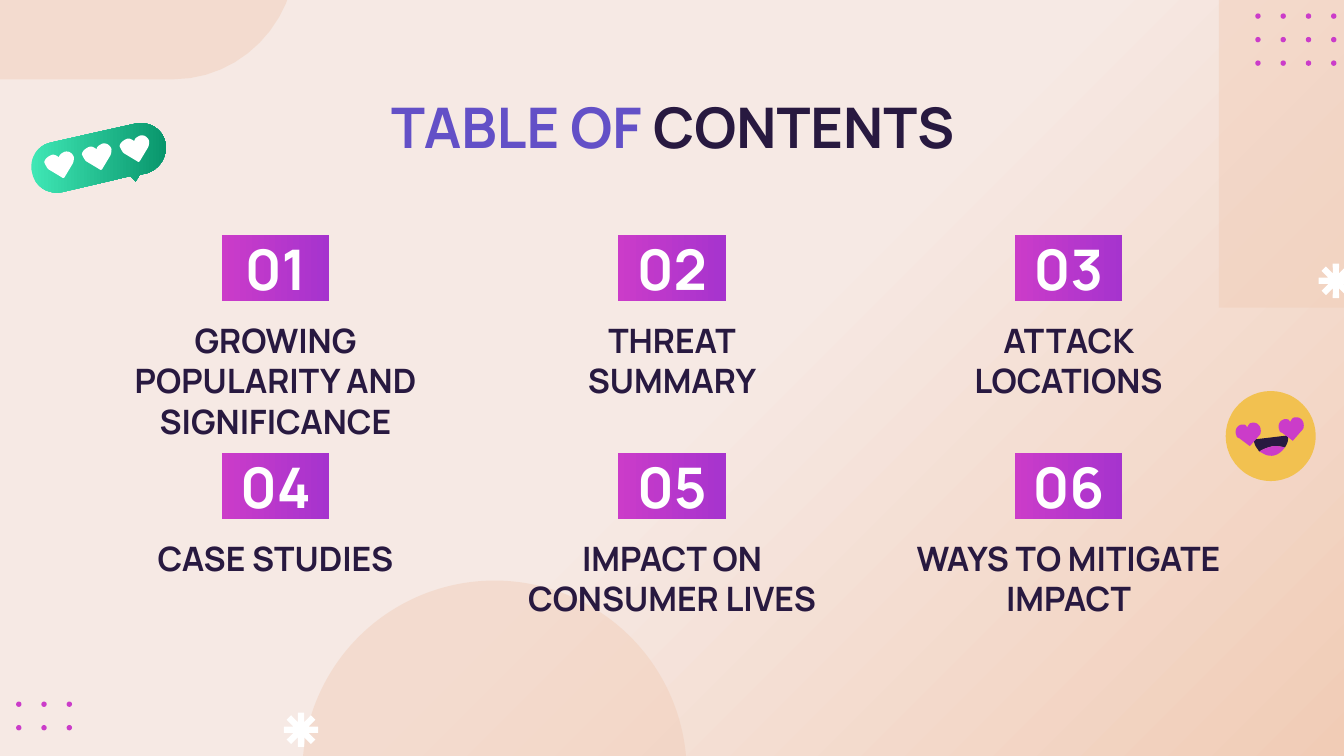
from copy import deepcopy
from math import cos, pi, sin
from typing import NamedTuple

from pptx import Presentation
from pptx.dml.color import RGBColor
from pptx.dml.fill import FillFormat
from pptx.enum.shapes import MSO_SHAPE as Preset
from pptx.enum.text import MSO_ANCHOR as Anchor, PP_ALIGN as Align
from pptx.oxml.ns import qn
from pptx.oxml.xmlchemy import OxmlElement
from pptx.shapes.autoshape import Shape
from pptx.slide import Slide
from pptx.text.text import TextFrame
from pptx.util import Inches, Pt

FONT = "Manrope"
CREAM = RGBColor(0xF6, 0xE9, 0xE4)
PEACH = RGBColor(0xF1, 0xCC, 0xB6)
MAGENTA = RGBColor(0xCB, 0x3C, 0xC9)
PURPLE = RGBColor(0xA6, 0x33, 0xCE)
INDIGO = RGBColor(0x63, 0x50, 0xC7)
INK = RGBColor(0x28, 0x19, 0x40)
WHITE = RGBColor(0xFF, 0xFF, 0xFF)
YELLOW = RGBColor(0xF2, 0xC1, 0x50)
MINT = RGBColor(0x3F, 0xE7, 0xB5)
GREEN = RGBColor(0x09, 0x96, 0x6C)

# An outline step is a line (x, y) or a curve (x1, y1, x2, y2, x, y), in inches.
Outline = list[tuple[float, ...]]


class Topic(NamedTuple):
    number: str
    heading: str


TOPICS = [
    Topic("01", "GROWING POPULARITY AND SIGNIFICANCE"),
    Topic("02", "THREAT\vSUMMARY"),
    Topic("03", "ATTACK LOCATIONS"),
    Topic("04", "CASE STUDIES"),
    Topic("05", "IMPACT ON CONSUMER LIVES"),
    Topic("06", "WAYS TO MITIGATE IMPACT"),
]
COLUMNS = 3
COLUMN_STEP, ROW_STEP = 2.95, 1.62

CORNER: Outline = [
    (-0.09, 0.59), (1.29, 0.59), (1.79, 0.59, 2.2, 0.17, 2.2, -0.33), (-0.09, -0.33),
]
BUBBLE: Outline = [
    (0.38, 1.06), (1.01, 0.92), (1.11, 0.9, 1.21, 0.96, 1.23, 1.06),
    (1.25, 1.16, 1.19, 1.26, 1.09, 1.29), (1.04, 1.3), (1.01, 1.35), (0.97, 1.31),
    (0.46, 1.43), (0.36, 1.45, 0.26, 1.39, 0.24, 1.29),
    (0.21, 1.18, 0.28, 1.08, 0.38, 1.06),
]
BUBBLE_HEART: Outline = [
    (0.48, 1.13), (0.51, 1.12, 0.54, 1.14, 0.55, 1.17),
    (0.55, 1.18, 0.55, 1.2, 0.54, 1.22), (0.48, 1.32), (0.47, 1.33, 0.46, 1.32, 0.46, 1.32),
    (0.36, 1.26), (0.35, 1.25, 0.34, 1.23, 0.33, 1.21),
    (0.33, 1.19, 0.35, 1.17, 0.37, 1.16), (0.4, 1.14, 0.42, 1.16, 0.44, 1.17),
    (0.44, 1.15, 0.46, 1.14, 0.48, 1.13),
]
EYE_HEART: Outline = [
    (9.3, 3.32), (9.37, 3.24), (9.37, 3.24, 9.38, 3.23, 9.38, 3.22),
    (9.39, 3.17, 9.35, 3.13, 9.3, 3.15), (9.29, 3.16, 9.28, 3.18, 9.28, 3.18),
    (9.28, 3.18, 9.27, 3.16, 9.26, 3.16), (9.21, 3.15, 9.18, 3.2, 9.2, 3.24),
    (9.2, 3.25, 9.21, 3.26, 9.22, 3.26),
]
MOUTH: Outline = [
    (9.58, 3.24), (9.33, 3.27), (9.33, 3.31, 9.35, 3.33, 9.37, 3.36),
    (9.4, 3.34, 9.43, 3.33, 9.47, 3.32), (9.5, 3.32, 9.53, 3.32, 9.56, 3.33),
    (9.58, 3.3, 9.59, 3.27, 9.58, 3.24),
]
TONGUE: Outline = [
    (9.56, 3.33), (9.53, 3.32, 9.5, 3.32, 9.47, 3.32),
    (9.43, 3.33, 9.4, 3.34, 9.37, 3.36), (9.39, 3.37, 9.42, 3.39, 9.44, 3.39),
    (9.49, 3.4, 9.53, 3.37, 9.56, 3.33),
]


def flatten(outline: Outline, steps: int = 12) -> list[tuple[float, float]]:
    """Turn the curves of an outline into short lines."""
    points = [outline[0]]
    for step in outline[1:]:
        if len(step) == 2:
            points.append(step)
            continue
        x0, y0 = points[-1]
        x1, y1, x2, y2, x3, y3 = step
        for i in range(1, steps + 1):
            t = i / steps
            a, b, c, d = (1 - t) ** 3, 3 * t * (1 - t) ** 2, 3 * t * t * (1 - t), t**3
            points.append((a * x0 + b * x1 + c * x2 + d * x3,
                           a * y0 + b * y1 + c * y2 + d * y3))
    return points


def finish(shape: Shape, color: RGBColor, alpha: int = 100) -> Shape:
    """Give a plain fill, without line or shadow."""
    shape.shadow.inherit = False
    shape.line.fill.background()
    shape.fill.solid()
    shape.fill.fore_color.rgb = color
    if alpha < 100:
        element = OxmlElement("a:alpha")
        element.set("val", str(alpha * 1000))
        shape._element.spPr.find(".//" + qn("a:srgbClr")).append(element)
    return shape


def add_preset(slide: Slide, kind: Preset, left: float, top: float, width: float,
               height: float, color: RGBColor, alpha: int = 100) -> Shape:
    shape = slide.shapes.add_shape(
        kind, Inches(left), Inches(top), Inches(width), Inches(height))
    return finish(shape, color, alpha)


def add_outline(slide: Slide, outline: Outline, color: RGBColor, dx: float = 0,
                dy: float = 0, alpha: int = 100) -> Shape:
    points = [(Inches(x + dx), Inches(y + dy)) for x, y in flatten(outline)]
    builder = slide.shapes.build_freeform(*points[0])
    builder.add_line_segments(points[1:], close=True)
    return finish(builder.convert_to_shape(), color, alpha)


def set_gradient(fill: FillFormat, start: RGBColor, end: RGBColor) -> None:
    fill.gradient()
    fill.gradient_angle = 0
    for stop, color, position in zip(fill.gradient_stops, (start, end), (0, 1)):
        stop.color.rgb, stop.position = color, position


def paint_background(slide: Slide) -> None:
    """Keep the cream plain up to the middle, then blend it into peach."""
    fill = slide.background.fill
    set_gradient(fill, CREAM, PEACH)
    fill.gradient_angle = 315
    stops = slide._element.find(".//" + qn("a:gsLst"))
    stops.insert(0, deepcopy(stops[0]))
    fill.gradient_stops[1].position = 0.52


def add_dots(slide: Slide, left: float, top: float, columns: int, rows: int) -> None:
    for row in range(rows):
        for column in range(columns):
            add_preset(slide, Preset.OVAL, left + column * 0.188, top + row * 0.175,
                       0.04, 0.04, MAGENTA)


def add_asterisk(slide: Slide, x: float, y: float) -> None:
    outline: Outline = []
    for arm in range(8):
        angle = arm * pi / 4
        for radius, turn in ((0.13, -0.18), (0.13, 0.18), (0.06, pi / 8)):
            outline.append((x + radius * cos(angle + turn), y + radius * sin(angle + turn)))
    add_outline(slide, outline, WHITE)


def write(frame: TextFrame, text: str, size: int, color: RGBColor,
          anchor: Anchor = Anchor.TOP) -> None:
    frame.word_wrap = True
    frame.vertical_anchor = anchor
    frame.margin_left = frame.margin_right = Inches(0.1)
    frame.margin_top = frame.margin_bottom = Inches(0.1)
    frame.text = text
    paragraph = frame.paragraphs[0]
    paragraph.alignment = Align.CENTER
    for run in paragraph.runs:
        style_run(run.font, size, color)


def style_run(font, size: int, color: RGBColor) -> None:
    font.name, font.size, font.bold = FONT, Pt(size), True
    font.color.rgb = color


def add_text(slide: Slide, left: float, top: float, width: float, height: float,
             text: str, size: int, color: RGBColor) -> TextFrame:
    box = slide.shapes.add_textbox(
        Inches(left), Inches(top), Inches(width), Inches(height))
    write(box.text_frame, text, size, color)
    return box.text_frame


def add_topic(slide: Slide, topic: Topic, dx: float, dy: float) -> None:
    badge = add_preset(slide, Preset.RECTANGLE, 1.65 + dx, 1.75 + dy, 0.8, 0.49, MAGENTA)
    set_gradient(badge.fill, MAGENTA, PURPLE)
    write(badge.text_frame, topic.number, 30, WHITE, Anchor.MIDDLE)
    add_text(slide, 0.79 + dx, 2.28 + dy, 2.52, 0.73, topic.heading, 18, INK)


def add_decor(slide: Slide) -> None:
    add_preset(slide, Preset.OVAL, 2.25, 4.32, 2.86, 2.86, PEACH, 45)
    add_preset(slide, Preset.RECTANGLE, 9.07, -0.73, 1.5, 3.02, PEACH, 45)
    add_outline(slide, CORNER, PEACH, alpha=45)
    add_dots(slide, 9.34, 0.1, 4, 3)
    add_dots(slide, 0.12, 5.22, 3, 2)
    add_asterisk(slide, 2.24, 5.43)
    add_asterisk(slide, 9.94, 2.09)


def add_stickers(slide: Slide) -> None:
    add_preset(slide, Preset.OVAL, 9.12, 2.91, 0.67, 0.67, YELLOW)
    add_outline(slide, MOUTH, INK)
    add_outline(slide, TONGUE, MAGENTA)
    for eye in range(2):
        add_outline(slide, EYE_HEART, MAGENTA, eye * 0.32, eye * -0.04)
    bubble = add_outline(slide, BUBBLE, MINT)
    set_gradient(bubble.fill, MINT, GREEN)
    for heart in range(3):
        add_outline(slide, BUBBLE_HEART, WHITE, heart * 0.28, heart * -0.06)


def main() -> None:
    presentation = Presentation()
    presentation.slide_width = Inches(10)
    presentation.slide_height = Inches(10 * 9 / 16)
    slide = presentation.slides.add_slide(presentation.slide_layouts[6])
    paint_background(slide)
    add_decor(slide)
    title = add_text(slide, 0.79, 0.59, 8.43, 0.63, "TABLE OF ", 30, INDIGO)
    ending = title.paragraphs[0].add_run()
    ending.text = "CONTENTS"
    style_run(ending.font, 30, INK)
    for index, topic in enumerate(TOPICS):
        row, column = divmod(index, COLUMNS)
        add_topic(slide, topic, column * COLUMN_STEP, row * ROW_STEP)
    add_stickers(slide)
    presentation.save("out.pptx")


if __name__ == "__main__":
    main()
